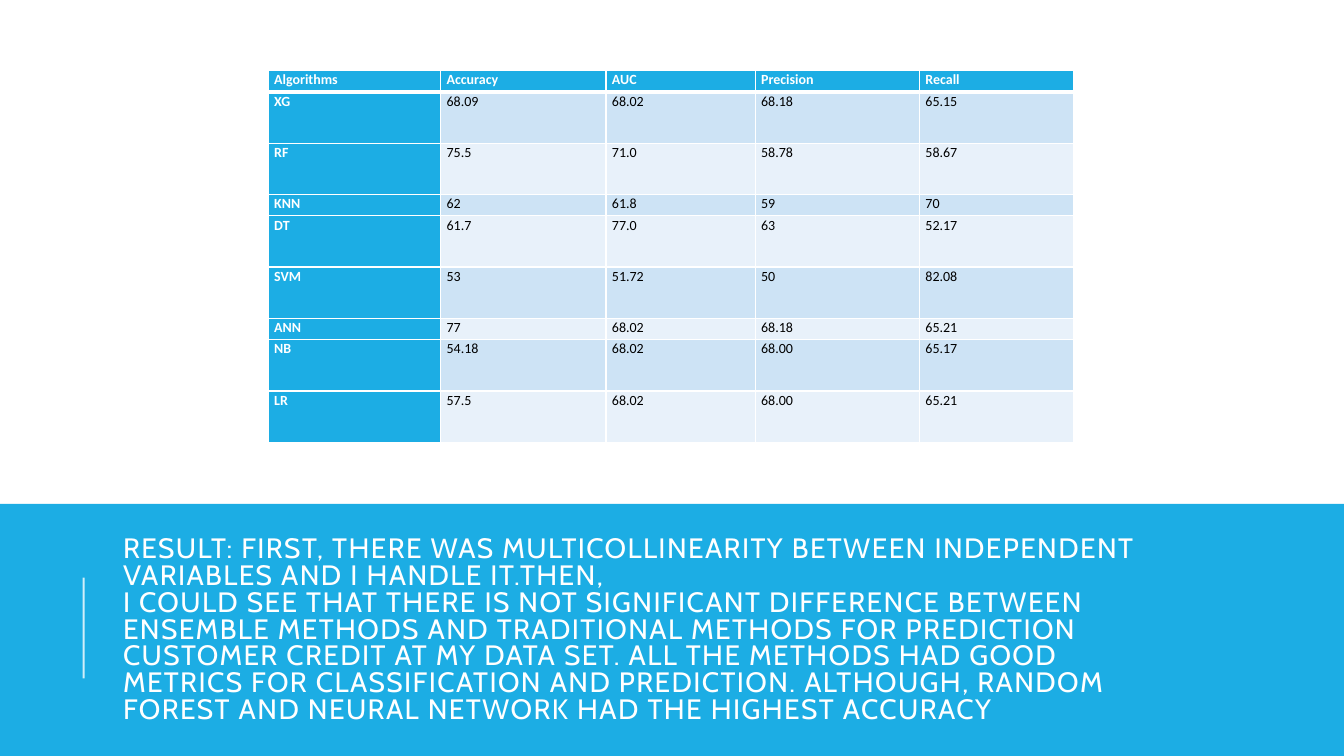
from lxml import etree
from pptx import Presentation
from pptx.dml.color import RGBColor
from pptx.enum.shapes import MSO_CONNECTOR, MSO_SHAPE
from pptx.enum.text import MSO_ANCHOR, MSO_AUTO_SIZE, PP_ALIGN
from pptx.oxml.ns import qn
from pptx.util import Inches, Pt

RECTANGLE = MSO_SHAPE.RECTANGLE
STRAIGHT = MSO_CONNECTOR.STRAIGHT
MIDDLE, TOP = MSO_ANCHOR.MIDDLE, MSO_ANCHOR.TOP
LEFT, JUSTIFY = PP_ALIGN.LEFT, PP_ALIGN.JUSTIFY
NO_AUTOFIT = MSO_AUTO_SIZE.NONE

BLUE = RGBColor(0x1C, 0xAD, 0xE4)
BAND_DARK = RGBColor(0xCD, 0xE3, 0xF5)
BAND_LIGHT = RGBColor(0xE8, 0xF1, 0xFA)
WHITE = RGBColor(0xFF, 0xFF, 0xFF)
BLACK = RGBColor(0, 0, 0)

TITLE = (
    "RESULT: FIRST, THERE WAS MULTICOLLINEARITY BETWEEN INDEPENDENT "
    "VARIABLES AND I HANDLE IT.THEN,\v"
    "I COULD SEE THAT THERE IS NOT SIGNIFICANT DIFFERENCE BETWEEN ENSEMBLE "
    "METHODS AND TRADITIONAL METHODS FOR PREDICTION CUSTOMER CREDIT AT MY "
    "DATA SET. ALL THE METHODS HAD GOOD METRICS FOR CLASSIFICATION AND "
    "PREDICTION. ALTHOUGH, RANDOM FOREST AND NEURAL NETWORK HAD THE HIGHEST "
    "ACCURACY"
)
METRICS = [
    ["Algorithms", "Accuracy", "AUC", "Precision", "Recall"],
    ["XG", "68.09", "68.02", "68.18", "65.15"],
    ["RF", "75.5", "71.0", "58.78", "58.67"],
    ["KNN", "62", "61.8", "59", "70"],
    ["DT", "61.7", "77.0", "63", "52.17"],
    ["SVM", "53", "51.72", "50", "82.08"],
    ["ANN", "77", "68.02", "68.18", "65.21"],
    ["NB", "54.18", "68.02", "68.00", "65.17"],
    ["LR", "57.5", "68.02", "68.00", "65.21"],
]
COLUMN_WIDTHS = [1.71, 1.64, 1.48, 1.63, 1.53]
SHORT_ROW, TALL_ROW = 0.21, 0.51


def write_text(frame, text, font, size, color, bold=False, align=LEFT,
               line_spacing=1.0, tracking=None):
    paragraph = frame.paragraphs[0]
    paragraph.text = text
    paragraph.alignment = align
    paragraph.line_spacing = line_spacing
    for run in paragraph.runs:
        run.font.name = font
        run.font.size = Pt(size)
        run.font.bold = bold
        run.font.color.rgb = color
        if tracking is not None:
            run.font._element.set("spc", str(tracking * 100))


def set_borders(cell, bottom_width):
    properties = cell._tc.get_or_add_tcPr()
    for side, width in (("L", 1), ("R", 1), ("T", 1), ("B", bottom_width)):
        border = etree.SubElement(properties, qn(f"a:ln{side}"), w=str(Pt(width)))
        fill = etree.SubElement(border, qn("a:solidFill"))
        etree.SubElement(fill, qn("a:srgbClr"), val=str(WHITE))


def add_metrics_table(slide, left, top):
    # Every third row, starting with the header, is short
    heights = [TALL_ROW if row % 3 else SHORT_ROW for row in range(len(METRICS))]
    table = slide.shapes.add_table(
        len(METRICS), len(COLUMN_WIDTHS), Inches(left), Inches(top),
        Inches(sum(COLUMN_WIDTHS)), Inches(sum(heights))).table
    table.first_col = True
    for column, width in zip(table.columns, COLUMN_WIDTHS):
        column.width = Inches(width)

    for row, values in enumerate(METRICS):
        table.rows[row].height = Inches(heights[row])
        for column, value in enumerate(values):
            cell = table.cell(row, column)
            heading = row == 0 or column == 0
            set_borders(cell, bottom_width=3 if row == 0 else 1)
            cell.fill.solid()
            band = BAND_DARK if row % 2 else BAND_LIGHT
            cell.fill.fore_color.rgb = BLUE if heading else band
            cell.margin_left = cell.margin_right = Inches(0.06)
            cell.margin_top = cell.margin_bottom = 0
            cell.vertical_anchor = TOP
            write_text(cell.text_frame, value, "Calibri", 10,
                       WHITE if heading else BLACK, bold=heading,
                       align=JUSTIFY, line_spacing=1.07)


def add_result_band(slide, left, top, width, height):
    # Blue band, moved behind the title
    band = slide.shapes.add_shape(
        RECTANGLE, Inches(left), Inches(top), Inches(width), Inches(height))
    band.shadow.inherit = False
    band.fill.solid()
    band.fill.fore_color.rgb = BLUE
    band.line.fill.background()
    title = slide.shapes.title
    title._element.addprevious(band._element)

    # Result text
    title.left, title.top = Inches(left + 1.12), Inches(top + 0.44)
    title.width, title.height = Inches(10.63), Inches(1.64)
    frame = title.text_frame
    frame.word_wrap = True
    frame.auto_size = NO_AUTOFIT
    frame.vertical_anchor = MIDDLE
    write_text(frame, TITLE, "Cabin", 20, WHITE, line_spacing=0.8, tracking=1)

    # Translucent rule beside the text
    rule_x = Inches(left + 0.83)
    rule = slide.shapes.add_connector(
        STRAIGHT, rule_x, Inches(top + 1.73), rule_x, Inches(top + 0.73))
    rule.line.color.rgb = WHITE
    rule.line.width = Pt(1.5)
    color = rule._element.spPr.find(".//" + qn("a:srgbClr"))
    etree.SubElement(color, qn("a:alpha"), val="80000")
    etree.SubElement(rule._element.spPr, qn("a:effectLst"))


def main():
    presentation = Presentation()
    presentation.slide_width = Inches(13.33)
    presentation.slide_height = Inches(7.5)
    title_only = presentation.slide_layouts[5]
    slide = presentation.slides.add_slide(title_only)
    add_result_band(slide, 0, 5, 13.33, 2.5)
    add_metrics_table(slide, 2.66, 0.7)
    presentation.save("out.pptx")


if __name__ == "__main__":
    main()
